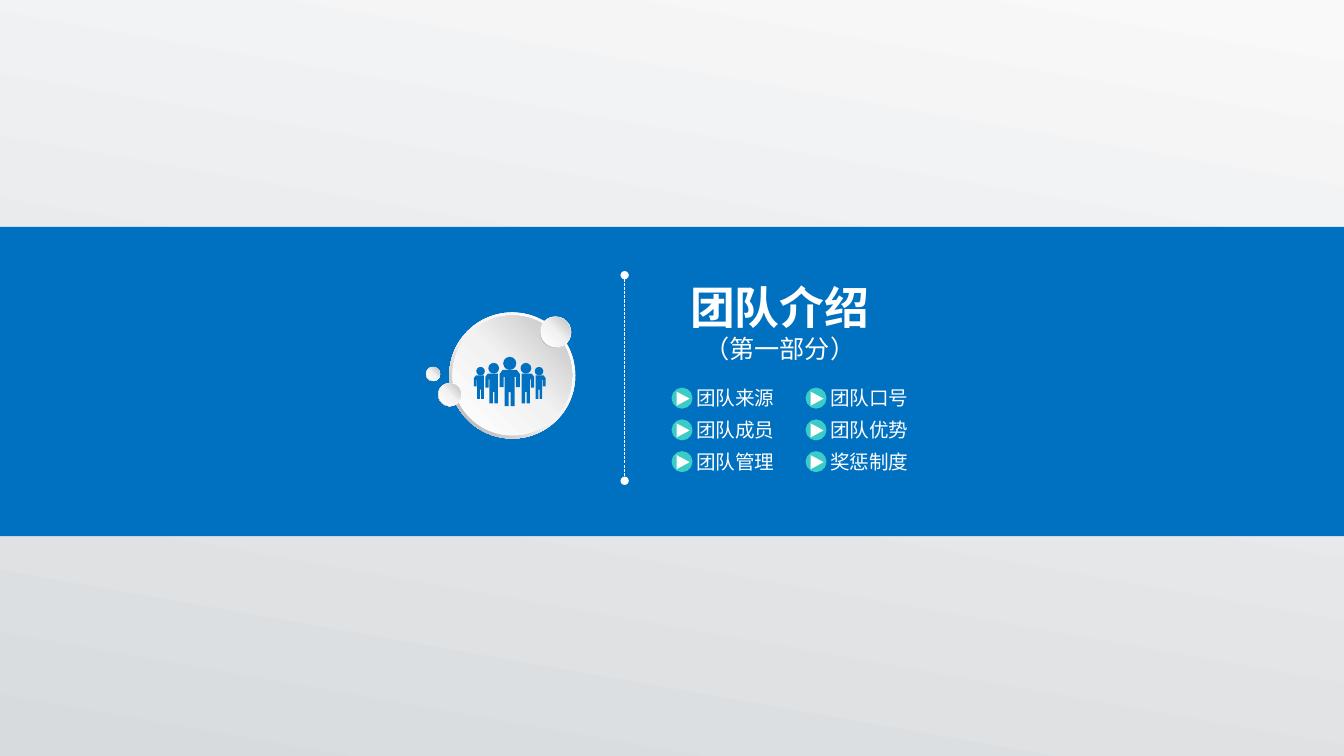
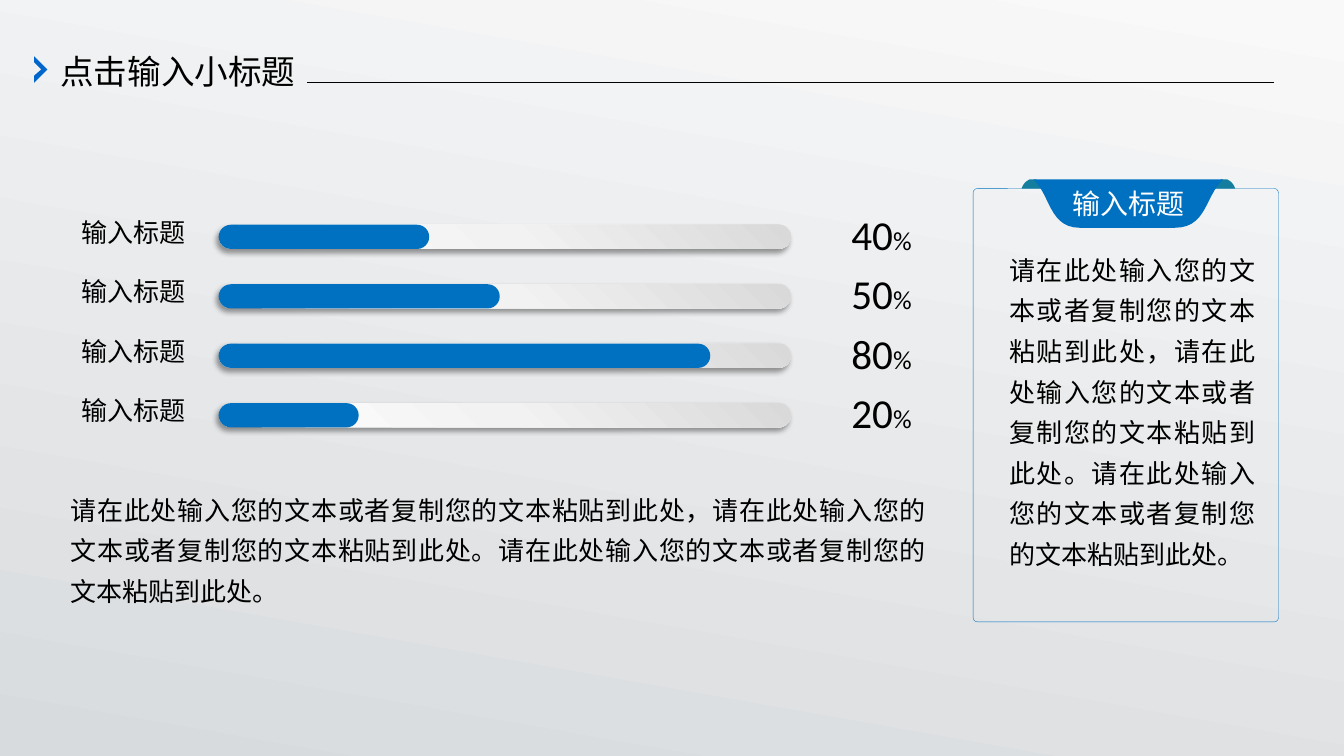
from pptx import Presentation
from pptx.dml.color import RGBColor
from pptx.enum.dml import MSO_LINE
from pptx.enum.shapes import MSO_CONNECTOR, MSO_SHAPE
from pptx.enum.text import MSO_ANCHOR as Anchor, PP_ALIGN as Align
from pptx.oxml.ns import qn
from pptx.oxml.xmlchemy import OxmlElement as make_element
from pptx.util import Inches, Pt

COLORS = {
    "blue": "0070C0", "chevron": "0066CC", "ear": "157E9F", "teal": "3CCCC7",
    "white": "FFFFFF", "black": "000000",
}
BACKGROUND = [(0, "D8DBDE"), (100, "F9F9F9")]
RING = [(0, "FFFFFF"), (55, "F2F2F2"), (100, "A6A6A6")]
BALL = [(0, "FFFFFF"), (51, "F2F2F2"), (100, "BFBFBF")]
TRACK = [(0, "FFFFFF"), (51, "F2F2F2"), (100, "D9D9D9")]

CHINESE = "Noto Sans CJK SC"
LATIN = "Calibri"
BOX_INSETS = (0.12, 0.06)
BODY_SIZE = 18.6
BODY_TEXT = (
    "请在此处输入您的文本或者复制您的文本粘贴到此处，请在此处输入您的文本或者复制您的文本粘贴到此处。"
    "请在此处输入您的文本或者复制您的文本粘贴到此处。"
)

TOPICS = [("团队来源", "团队口号"), ("团队成员", "团队优势"), ("团队管理", "奖惩制度")]
ORBS = [(4.46, 3.1, 1.25), (5.36, 3.14, 0.31), (4.35, 3.8, 0.23), (4.23, 3.64, 0.14)]
PEOPLE_CENTER = 5.06
SIDE_PEOPLE = [(0.16, 3.6, 0.82), (0.29, 3.64, 0.65)]
HEAD = 0.13
ARMED_HALF = [
    (0.01, 0.22), (0.01, 0.36), (0.05, 0.36), (0.05, 0.07), (0.06, 0.07),
    (0.06, 0.17), (0.1, 0.17), (0.1, 0.04), (0.07, 0),
]
PLAIN_HALF = [(0.01, 0.22), (0.01, 0.36), (0.05, 0.36), (0.05, 0)]

BARS = [("40", 2.09), ("50", 2.79), ("80", 4.88), ("20", 1.39)]
BAR_LEFT, BAR_TOP, BAR_PITCH = 2.17, 2.23, 0.59
TRACK_WIDTH, BAR_HEIGHT = 5.68, 0.24


def color(name):
    return RGBColor.from_string(COLORS[name])


def fill_gradient(fill, element, stops, angle):
    fill.gradient()
    fill.gradient_angle = 360 - angle
    stop_list = element.find(".//" + qn("a:gsLst"))
    for stop in list(stop_list):
        stop_list.remove(stop)
    for position, value in stops:
        stop = make_element("a:gs")
        stop.set("pos", str(position * 1000))
        tint = make_element("a:srgbClr")
        tint.set("val", value)
        stop.append(tint)
        stop_list.append(stop)


def style_shape(shape, fill=None, line=None, line_width=1):
    shape.shadow.inherit = False
    if fill:
        shape.fill.solid()
        shape.fill.fore_color.rgb = color(fill)
    else:
        shape.fill.background()
    if line:
        shape.line.color.rgb = color(line)
        shape.line.width = Pt(line_width)
    else:
        shape.line.fill.background()
    return shape


def add_preset(slide, preset, box, fill=None, adjust=None, **line_style):
    shape = slide.shapes.add_shape(preset, *map(Inches, box))
    if adjust is not None:
        shape.adjustments[0] = adjust
    return style_shape(shape, fill, **line_style)


def add_gradient_preset(slide, preset, box, stops, angle, adjust=None):
    shape = add_preset(slide, preset, box, adjust=adjust)
    fill_gradient(shape.fill, shape.element, stops, angle)
    return shape


def curve_points(start, curve, steps=12):
    controls = [start, curve[0:2], curve[2:4], curve[4:6]]
    for step in range(1, steps + 1):
        t = step / steps
        weights = ((1 - t) ** 3, 3 * t * (1 - t) ** 2, 3 * t * t * (1 - t), t ** 3)
        yield tuple(
            sum(weight * point[axis] for weight, point in zip(weights, controls))
            for axis in (0, 1)
        )


def add_outline(slide, segments, fill):
    points = [segments[0]]
    for segment in segments[1:]:
        if len(segment) == 6:
            points.extend(curve_points(points[-1], segment))
        else:
            points.append(segment)
    points = [(Inches(x), Inches(y)) for x, y in points]
    builder = slide.shapes.build_freeform(*points[0])
    builder.add_line_segments(points[1:], close=True)
    return style_shape(builder.convert_to_shape(), fill)


def add_line(slide, start, end, line_color, dash=None, ends=None):
    line = slide.shapes.add_connector(MSO_CONNECTOR.STRAIGHT, *map(Inches, start + end))
    line.line.color.rgb = color(line_color)
    line.line.width = Pt(0.75)
    if dash:
        line.line.dash_style = dash
    if ends:
        for tag in ("a:headEnd", "a:tailEnd"):
            marker = make_element(tag)
            marker.set("type", ends)
            line.line._get_or_add_ln().append(marker)
    line.element.spPr.append(make_element("a:effectLst"))


def format_run(run, size, text_color, bold=False, font=CHINESE):
    run.font.size = Pt(size)
    run.font.bold = bold
    run.font.color.rgb = color(text_color)
    run.font.name = font
    east_asian = make_element("a:ea")
    east_asian.set("typeface", font)
    run.font._element.find(qn("a:latin")).addnext(east_asian)


def prepare_frame(shape, insets, anchor):
    frame = shape.text_frame
    frame.word_wrap = True
    frame.vertical_anchor = anchor
    frame.margin_left = frame.margin_right = Inches(insets[0])
    frame.margin_top = frame.margin_bottom = Inches(insets[1])
    return frame


def write_text(shape, text, sizes, text_color="black", align=Align.LEFT,
               insets=(0, 0), anchor=Anchor.TOP, bold_first=False):
    frame = prepare_frame(shape, insets, anchor)
    frame.text = text
    for index, (paragraph, size) in enumerate(zip(frame.paragraphs, sizes)):
        paragraph.alignment = align
        format_run(paragraph.runs[0], size, text_color, bold_first and index == 0)
    return frame


def add_text(slide, box, text, sizes, **style):
    return write_text(slide.shapes.add_textbox(*map(Inches, box)), text, sizes, **style)


def add_body(slide, box):
    frame = add_text(slide, box, BODY_TEXT, [BODY_SIZE], align=Align.JUSTIFY, insets=BOX_INSETS)
    paragraph = frame.paragraphs[0]
    paragraph.line_spacing = 1.3
    paragraph.space_before = paragraph.space_after = Pt(7.2)


def add_orb(slide, left, top, size):
    add_gradient_preset(slide, MSO_SHAPE.DONUT, (left, top, size, size), RING, 135, 0.049)
    inset = size * 0.025
    inner = size - 2 * inset
    add_gradient_preset(slide, MSO_SHAPE.OVAL, (left + inset, top + inset, inner, inner), BALL, 315)


def add_person(slide, center, top, scale, left_half, right_half):
    head = HEAD * scale
    add_preset(slide, MSO_SHAPE.OVAL, (center - head / 2, top, head, head), "blue")
    body = [(-x, y) for x, y in left_half] + right_half[::-1]
    outline = [(center + x * scale, top + head + y * scale) for x, y in body]
    add_outline(slide, outline, "blue")


def add_people(slide):
    for offset, top, scale in SIDE_PEOPLE:
        add_person(slide, PEOPLE_CENTER - offset, top, scale, ARMED_HALF, PLAIN_HALF)
        add_person(slide, PEOPLE_CENTER + offset, top, scale, PLAIN_HALF, ARMED_HALF)
    add_person(slide, PEOPLE_CENTER, 3.54, 1, ARMED_HALF, ARMED_HALF)


def add_topic(slide, left, top, text):
    add_text(slide, (left + 0.23, top, 1.34, 0.24), text, [14], text_color="white")
    add_preset(slide, MSO_SHAPE.OVAL, (left, top + 0.03, 0.18, 0.18), "teal",
               line="teal", line_width=2)
    arrow = add_preset(slide, MSO_SHAPE.ISOSCELES_TRIANGLE,
                       (left + 0.03, top + 0.06, 0.14, 0.13), "white")
    arrow.rotation = 90


def add_bar(slide, top, number, width):
    track = add_gradient_preset(slide, MSO_SHAPE.ROUNDED_RECTANGLE,
                                (BAR_LEFT, top, TRACK_WIDTH, BAR_HEIGHT), TRACK, 315, 0.5)
    add_shadow(track)
    add_preset(slide, MSO_SHAPE.ROUNDED_RECTANGLE, (BAR_LEFT, top, width, BAR_HEIGHT), "blue", 0.5)
    add_text(slide, (0.63, top - 0.13, 1.33, 0.4), "输入标题", [BODY_SIZE],
             align=Align.RIGHT, insets=BOX_INSETS, anchor=Anchor.MIDDLE)
    value = slide.shapes.add_textbox(*map(Inches, (8.45, top - 0.1, 1.05, 0.38)))
    paragraph = prepare_frame(value, (0, 0), Anchor.MIDDLE).paragraphs[0]
    for text, size in ((number, 29.4), ("%", BODY_SIZE)):
        run = paragraph.add_run()
        run.text = text
        format_run(run, size, "black", font=LATIN)


def add_shadow(shape):
    shadow = make_element("a:outerShdw")
    settings = {"blurRad": Pt(4), "dist": Pt(3), "dir": 135 * 60000, "algn": "tr", "rotWithShape": 0}
    for name, value in settings.items():
        shadow.set(name, str(value))
    tint = make_element("a:srgbClr")
    tint.set("val", COLORS["black"])
    alpha = make_element("a:alpha")
    alpha.set("val", "40000")
    tint.append(alpha)
    shadow.append(tint)
    shape.element.spPr.find(qn("a:effectLst")).append(shadow)


def add_heading(slide, text):
    chevron = [(0.34, 0.56), (0.47, 0.69), (0.34, 0.82), (0.34, 0.75), (0.41, 0.69), (0.34, 0.62)]
    add_outline(slide, chevron, "chevron")
    add_text(slide, (0.5, 0.46, 2.71, 0.5), text, [24], insets=(0.1, 0.05))
    add_line(slide, (3.05, 0.82), (12.65, 0.82), "black")


def add_ear(slide, left):
    top, base = 1.78, 1.87
    add_outline(slide, [
        (left, base), (left + 0.02, 1.82, left + 0.04, 1.8, left + 0.08, top),
        (left + 0.14, top), (left + 0.18, 1.8, left + 0.2, 1.82, left + 0.22, base),
    ], "ear")


def add_panel(slide):
    add_preset(slide, MSO_SHAPE.ROUNDED_RECTANGLE, (9.66, 1.87, 3.03, 4.3), adjust=0.014,
               line="blue", line_width=0.25)
    for left in (10.14, 12.04):
        add_ear(slide, left)
    tab = add_outline(slide, [
        (10.26, 1.78), (12.14, 1.78), (12.08, 1.85), (11.96, 2.02, 11.94, 2.26, 11.66, 2.26),
        (10.72, 2.26), (10.45, 2.26, 10.43, 2.01, 10.31, 1.84),
    ], "blue")
    write_text(tab, "输入标题", [20], text_color="white", align=Align.CENTER,
               insets=BOX_INSETS, anchor=Anchor.MIDDLE)
    add_body(slide, (9.9, 2.37, 2.68, 3.64))


def build_section(slide):
    add_preset(slide, MSO_SHAPE.RECTANGLE, (0, 2.25, 13.34, 3.07), "blue")
    for orb in ORBS:
        add_orb(slide, *orb)
    add_people(slide)
    add_line(slide, (6.2, 2.73), (6.2, 4.77), "white", MSO_LINE.SQUARE_DOT, "oval")
    add_text(slide, (6.59, 2.73, 2.3, 0.92), "团队介绍\n（第一部分）", [32, 18], text_color="white",
             align=Align.CENTER, insets=(0.07, 0.04), bold_first=True)
    for row, topics in enumerate(TOPICS):
        for column, topic in enumerate(topics):
            add_topic(slide, 6.68 + column * 1.33, 3.83 + row * 0.315, topic)


def build_progress(slide):
    add_heading(slide, "点击输入小标题")
    for row, (number, width) in enumerate(BARS):
        add_bar(slide, BAR_TOP + row * BAR_PITCH, number, width)
    add_body(slide, (0.58, 4.75, 8.74, 1.39))
    add_panel(slide)


def main():
    presentation = Presentation()
    presentation.slide_width = Inches(13.34)
    presentation.slide_height = Inches(7.5)
    master = presentation.slide_master
    fill_gradient(master.background.fill, master.element, BACKGROUND, 280)
    for build in (build_section, build_progress):
        build(presentation.slides.add_slide(presentation.slide_layouts[6]))
    presentation.save("out.pptx")


if __name__ == "__main__":
    main()
